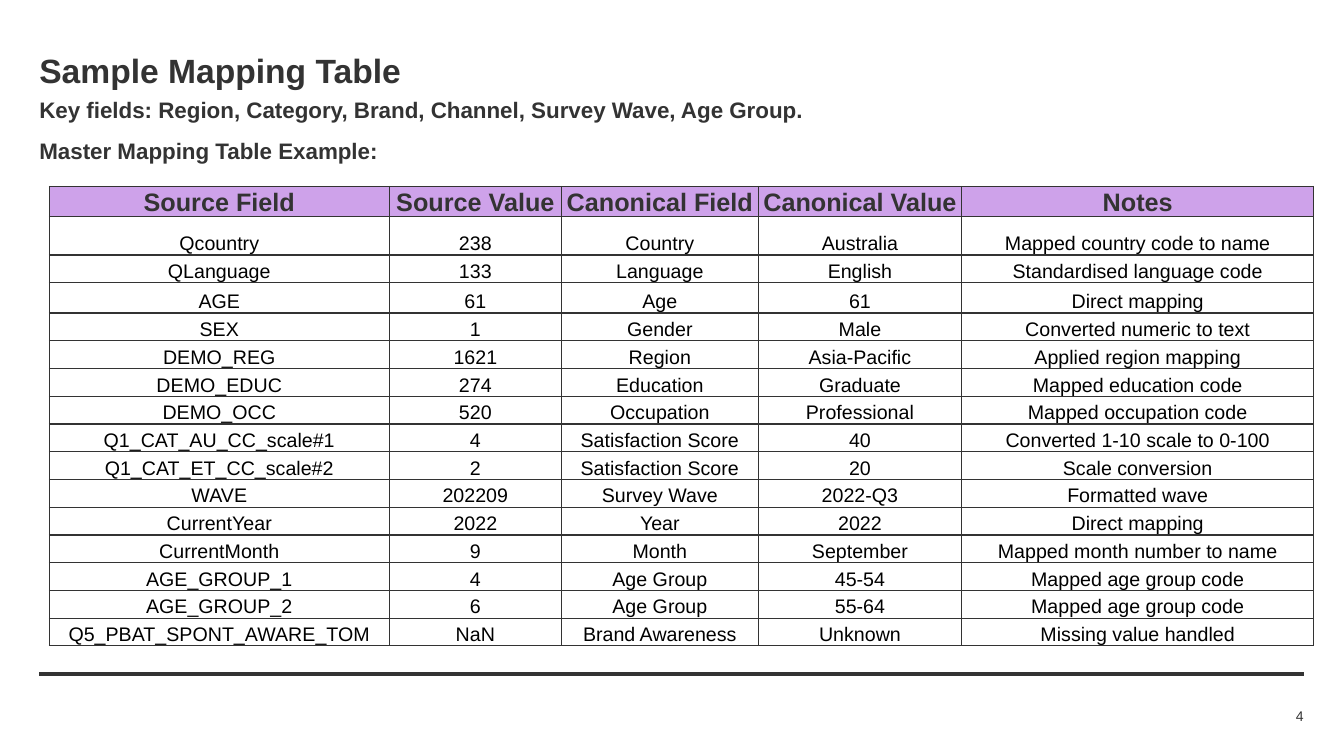
from dataclasses import dataclass

from lxml.etree import SubElement
from pptx import Presentation
from pptx.dml.color import RGBColor
from pptx.enum.shapes import MSO_CONNECTOR as Connector
from pptx.enum.text import MSO_ANCHOR as Anchor, MSO_AUTO_SIZE as AutoSize, PP_ALIGN as Align
from pptx.oxml.ns import qn
from pptx.slide import Slide
from pptx.table import _Cell as Cell
from pptx.text.text import TextFrame
from pptx.util import Inches, Pt

DARK = RGBColor(0x33, 0x33, 0x33)
BLACK = RGBColor(0, 0, 0)
LILAC = RGBColor(0xCE, 0xA2, 0xEA)
FONT = "Arial"

LEFT, WIDTH = 0.39, 12.54
COLUMN_WIDTHS = (3.37, 1.71, 1.95, 2.02, 3.49)
TABLE_HEIGHT = 4.56
TALL_ROWS = {0: 0.3, 1: 0.38, 3: 0.3}
BORDER_POINTS = 1


@dataclass(frozen=True)
class TextStyle:
    size: float
    color: RGBColor = DARK
    bold: bool = False
    align: Align = Align.LEFT
    anchor: Anchor = Anchor.TOP
    line_spacing: float = 1.0
    gap: float = 0


@dataclass(frozen=True)
class Mapping:
    source_field: str
    source_value: str
    canonical_field: str
    canonical_value: str
    notes: str

    def texts(self) -> tuple[str, ...]:
        return (self.source_field, self.source_value, self.canonical_field,
                self.canonical_value, self.notes)


TITLE = TextStyle(24, bold=True, anchor=Anchor.MIDDLE)
INTRO = TextStyle(16, bold=True, line_spacing=0.9, gap=12)
PAGE_NUMBER = TextStyle(10, align=Align.RIGHT, anchor=Anchor.MIDDLE)
HEADER = TextStyle(18, bold=True, align=Align.CENTER)
BODY = TextStyle(14, BLACK, align=Align.CENTER)

MAPPINGS = (
    Mapping("Source Field", "Source Value", "Canonical Field", "Canonical Value", "Notes"),
    Mapping("Qcountry", "238", "Country", "Australia", "Mapped country code to name"),
    Mapping("QLanguage", "133", "Language", "English", "Standardised language code"),
    Mapping("AGE", "61", "Age", "61", "Direct mapping"),
    Mapping("SEX", "1", "Gender", "Male", "Converted numeric to text"),
    Mapping("DEMO_REG", "1621", "Region", "Asia-Pacific", "Applied region mapping"),
    Mapping("DEMO_EDUC", "274", "Education", "Graduate", "Mapped education code"),
    Mapping("DEMO_OCC", "520", "Occupation", "Professional", "Mapped occupation code"),
    Mapping("Q1_CAT_AU_CC_scale#1", "4", "Satisfaction Score", "40",
            "Converted 1-10 scale to 0-100"),
    Mapping("Q1_CAT_ET_CC_scale#2", "2", "Satisfaction Score", "20", "Scale conversion"),
    Mapping("WAVE", "202209", "Survey Wave", "2022-Q3", "Formatted wave"),
    Mapping("CurrentYear", "2022", "Year", "2022", "Direct mapping"),
    Mapping("CurrentMonth", "9", "Month", "September", "Mapped month number to name"),
    Mapping("AGE_GROUP_1", "4", "Age Group", "45-54", "Mapped age group code"),
    Mapping("AGE_GROUP_2", "6", "Age Group", "55-64", "Mapped age group code"),
    Mapping("Q5_PBAT_SPONT_AWARE_TOM", "NaN", "Brand Awareness", "Unknown",
            "Missing value handled"),
)


def write_lines(frame: TextFrame, lines: tuple[str, ...], style: TextStyle) -> None:
    for index, line in enumerate(lines):
        para = frame.add_paragraph() if index else frame.paragraphs[0]
        para.text = line
        para.alignment = style.align
        para.line_spacing = style.line_spacing
        para.space_before = Pt(style.gap if index else 0)
        para.font.name = FONT
        para.font.size = Pt(style.size)
        para.font.bold = style.bold
        para.font.color.rgb = style.color


def fill_box(box, top: float, height: float, lines: tuple[str, ...], style: TextStyle,
             left: float = LEFT, width: float = WIDTH) -> None:
    """Place a text box or placeholder and write its lines without insets."""
    box.left, box.top = Inches(left), Inches(top)
    box.width, box.height = Inches(width), Inches(height)
    frame = box.text_frame
    frame.word_wrap = True
    frame.auto_size = AutoSize.NONE
    frame.vertical_anchor = style.anchor
    frame.margin_left = frame.margin_top = frame.margin_right = frame.margin_bottom = 0
    write_lines(frame, lines, style)


def add_text(slide: Slide, *place_and_text, **position: float) -> None:
    fill_box(slide.shapes.add_textbox(0, 0, 0, 0), *place_and_text, **position)


def add_footer_rule(slide: Slide) -> None:
    y = Inches(6.69)
    rule = slide.shapes.add_connector(Connector.STRAIGHT, Inches(LEFT), y,
                                      Inches(LEFT + WIDTH), y)
    rule.line.color.rgb = DARK
    rule.line.width = Pt(3)
    SubElement(rule._element.spPr, qn("a:effectLst"))


def add_borders(cell: Cell) -> None:
    properties = cell._tc.get_or_add_tcPr()
    for side in ("a:lnL", "a:lnR", "a:lnT", "a:lnB"):
        line = SubElement(properties, qn(side), w=str(Pt(BORDER_POINTS)))
        fill = SubElement(line, qn("a:solidFill"))
        SubElement(fill, qn("a:srgbClr"), val=str(DARK))


def format_cell(cell: Cell, text: str, is_header: bool) -> None:
    add_borders(cell)
    if is_header:
        cell.fill.solid()
        cell.fill.fore_color.rgb = LILAC
    else:
        cell.fill.background()
    cell.margin_left = cell.margin_top = cell.margin_right = Inches(0.01)
    cell.margin_bottom = 0
    cell.vertical_anchor = Anchor.BOTTOM
    write_lines(cell.text_frame, (text,), HEADER if is_header else BODY)


def add_mapping_table(slide: Slide) -> None:
    table = slide.shapes.add_table(len(MAPPINGS), len(COLUMN_WIDTHS), Inches(0.49),
                                   Inches(1.85), Inches(WIDTH), Inches(TABLE_HEIGHT)).table
    table.first_row = table.horz_banding = False
    for column, width in zip(table.columns, COLUMN_WIDTHS):
        column.width = Inches(width)
    regular = (TABLE_HEIGHT - sum(TALL_ROWS.values())) / (len(MAPPINGS) - len(TALL_ROWS))
    for index, (row, mapping) in enumerate(zip(table.rows, MAPPINGS)):
        row.height = Inches(TALL_ROWS.get(index, regular))
        for cell, text in zip(row.cells, mapping.texts()):
            format_cell(cell, text, is_header=index == 0)


def main() -> None:
    deck = Presentation()
    deck.slide_width, deck.slide_height = Inches(13.33), Inches(7.5)
    slide = deck.slides.add_slide(deck.slide_layouts.get_by_name("Title Only"))
    add_footer_rule(slide)
    fill_box(slide.shapes.title, 0.47, 0.44, ("Sample Mapping Table",), TITLE)
    add_text(slide, 6.99, 0.22, ("4",), PAGE_NUMBER, left=11.87, width=1.06)
    add_text(slide, 0.98, 0.66, (
        "Key fields: Region, Category, Brand, Channel, Survey Wave, Age Group.",
        "Master Mapping Table Example:",
    ), INTRO)
    add_mapping_table(slide)
    deck.save("out.pptx")


if __name__ == "__main__":
    main()
